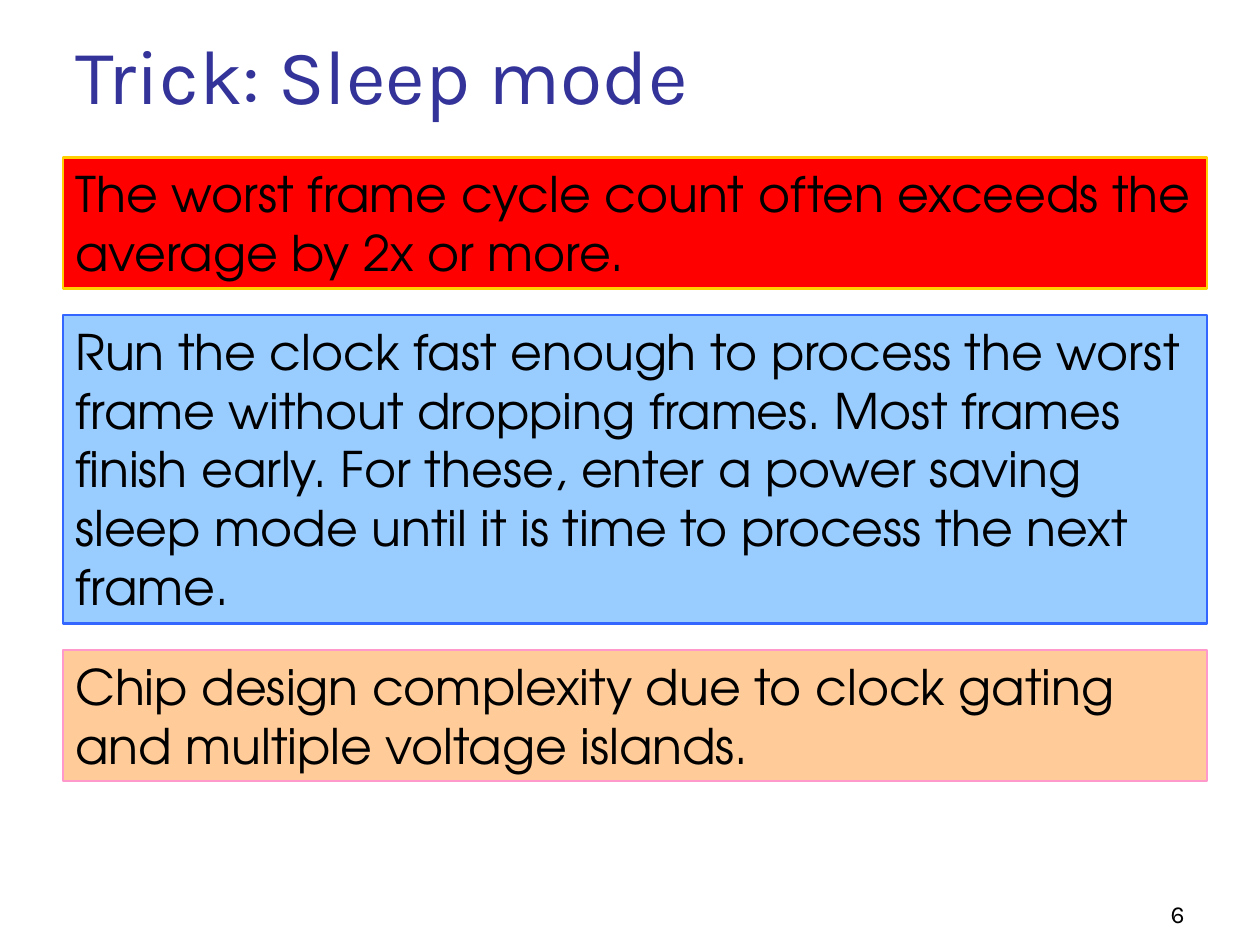
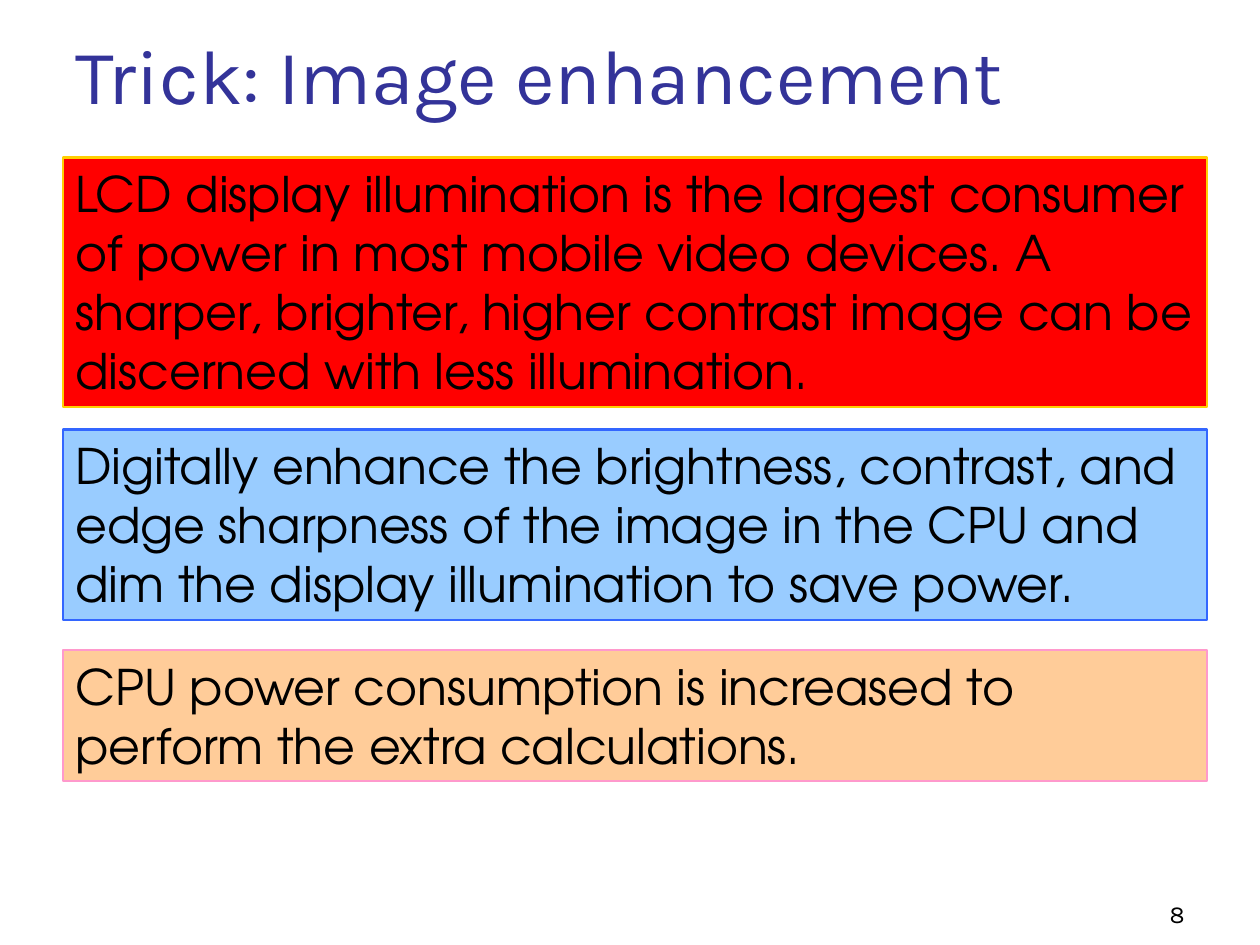
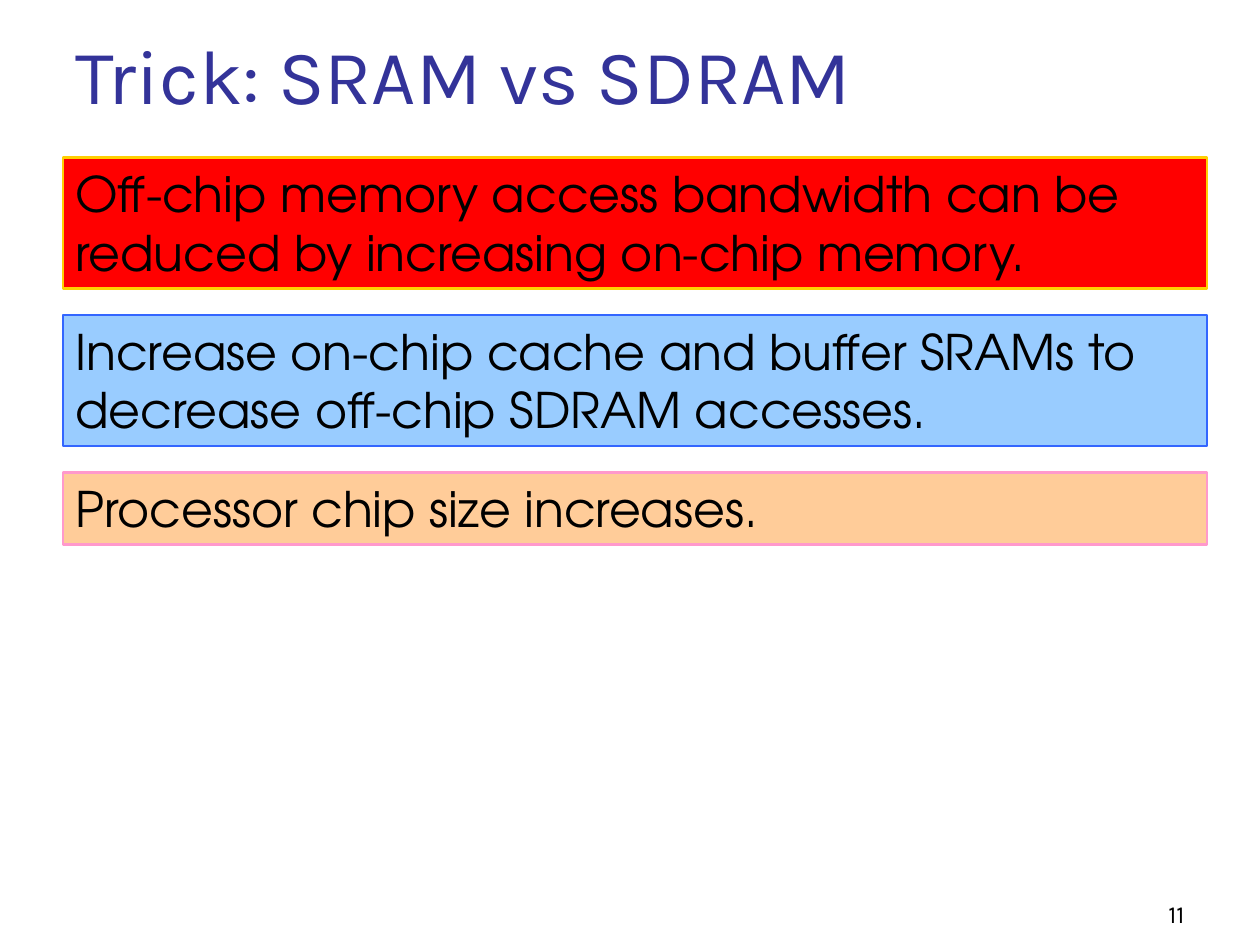
import pptx
import pptx.util
import pptx.dml.color
import pptx.enum.shapes
import pptx.enum.text

Inches = pptx.util.Inches
ANCHOR = pptx.enum.text.MSO_ANCHOR
ALIGN = pptx.enum.text.PP_ALIGN
AUTO_SIZE = pptx.enum.text.MSO_AUTO_SIZE

TITLE_FONT = "Karla"
BODY_FONT = "TeX Gyre Adventor"
TITLE_COLOUR = "333399"
TEXT_COLOUR = "000000"
BAND_COLOURS = [("FF0000", "FFCF01"), ("99CCFF", "3366FF"), ("FFCC99", "FF99CC")]
LEFT = 0.5
BAND_WIDTH = 9.08
LINE_HEIGHT = 0.47
BAND_PADDING = 0.1

TRICKS = [
    ("6", "Trick: Sleep mode", [
        (1.25, 2, "The worst frame cycle count often exceeds the average by 2x or more."),
        (2.5, 5, "Run the clock fast enough to process the worst frame without dropping "
                 "frames. Most frames finish early. For these, enter a power saving sleep "
                 "mode until it is time to process the next frame."),
        (5.16, 2, "Chip design complexity due to clock gating and multiple voltage islands."),
    ]),
    ("8", "Trick: Image enhancement", [
        (1.25, 4, "LCD display illumination is the largest consumer of power in most mobile "
                  "video devices. A sharper, brighter, higher contrast image can be "
                  "discerned with less illumination."),
        (3.41, 3, "Digitally enhance the brightness, contrast, and edge sharpness of the "
                  "image in the CPU and dim the display illumination to save power."),
        (5.16, 2, "CPU power consumption is increased to perform the extra calculations."),
    ]),
    ("11", "Trick: SRAM vs SDRAM", [
        (1.25, 2, "Off-chip memory access bandwidth can be reduced by increasing on-chip memory."),
        (2.5, 2, "Increase on-chip cache and buffer SRAMs to decrease off-chip SDRAM accesses."),
        (3.75, 1, "Processor chip size increases."),
    ]),
]


def colour(value):
    return pptx.dml.color.RGBColor.from_string(value)


def write(box, text, font=BODY_FONT, size=28, ink=TEXT_COLOUR,
          anchor=ANCHOR.TOP, align=ALIGN.LEFT):
    frame = box.text_frame
    frame.word_wrap = True
    frame.auto_size = AUTO_SIZE.NONE
    frame.vertical_anchor = anchor
    para = frame.paragraphs[0]
    para.alignment = align
    span = para.add_run()
    span.text = text
    span.font.name = font
    span.font.size = pptx.util.Pt(size)
    span.font.color.rgb = colour(ink)


deck = pptx.Presentation()
deck.slide_width = Inches(10)
deck.slide_height = Inches(7.5)
title_only = deck.slide_layouts[5]

for number, heading, bands in TRICKS:
    page = deck.slides.add_slide(title_only)

    title = page.shapes.title
    title.left, title.top = Inches(LEFT), Inches(0.25)
    title.width, title.height = Inches(9.28), Inches(0.75)
    write(title, heading, font=TITLE_FONT, size=44, ink=TITLE_COLOUR, anchor=ANCHOR.BOTTOM)

    for (top, lines, text), (fill, edge) in zip(bands, BAND_COLOURS):
        band = page.shapes.add_shape(
            pptx.enum.shapes.MSO_SHAPE.RECTANGLE, Inches(LEFT), Inches(top),
            Inches(BAND_WIDTH), Inches(BAND_PADDING + lines * LINE_HEIGHT))
        band.shadow.inherit = False
        band.fill.solid()
        band.fill.fore_color.rgb = colour(fill)
        band.line.color.rgb = colour(edge)
        band.line.width = pptx.util.Pt(1.5)
        write(band, text)

    page_number = page.shapes.add_textbox(Inches(7.42), Inches(6.92), Inches(2.08), Inches(0.5))
    write(page_number, number, font=TITLE_FONT, size=14, anchor=ANCHOR.BOTTOM, align=ALIGN.RIGHT)

deck.save("out.pptx")
